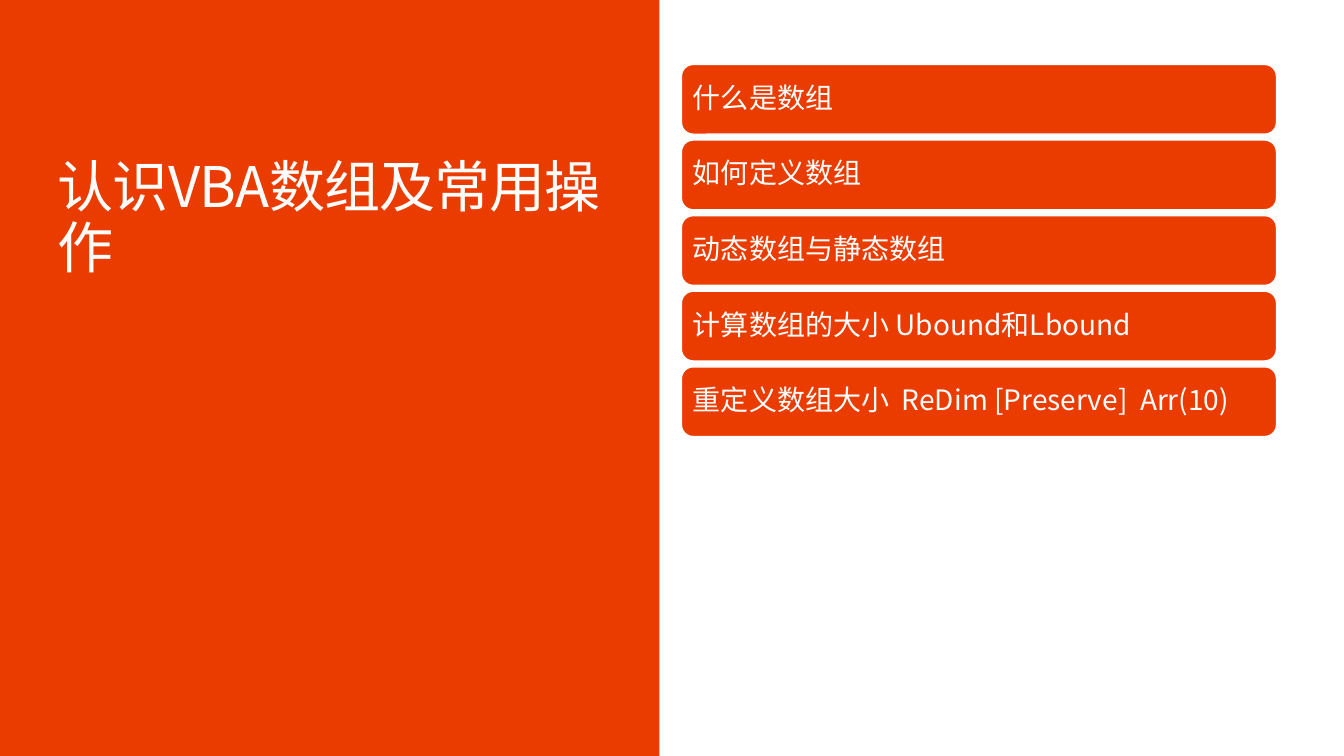
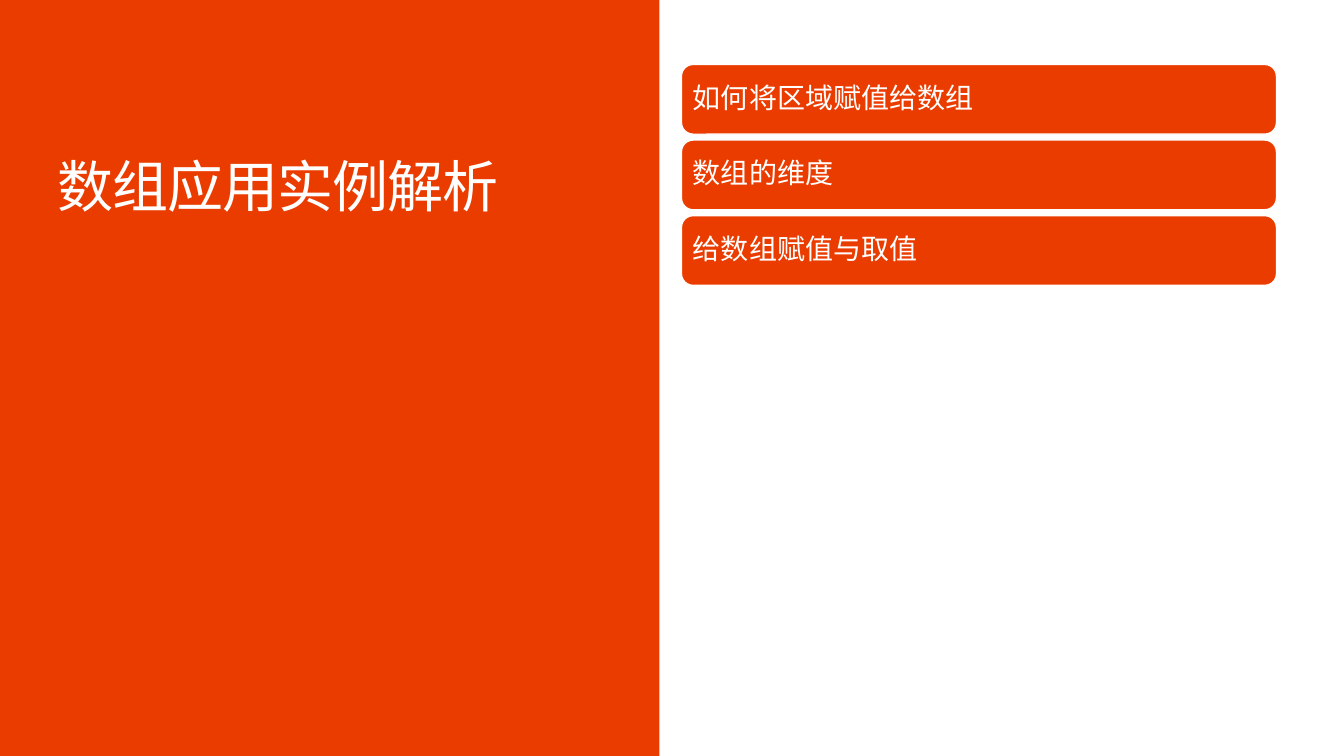
from dataclasses import dataclass

from lxml.etree import SubElement
from pptx import Presentation
from pptx.dml.color import RGBColor
from pptx.enum.shapes import MSO_SHAPE as Preset
from pptx.enum.text import MSO_ANCHOR as Anchor, MSO_AUTO_SIZE as AutoSize, PP_ALIGN as Align
from pptx.oxml.ns import qn
from pptx.shapes.autoshape import Shape
from pptx.slide import Slide, SlideLayout
from pptx.text.text import TextFrame
from pptx.util import Emu, Pt

# Shared style: 100 px to the inch
EMU_PER_PX = 9144
SLIDE_WIDTH, SLIDE_HEIGHT = 1333, 750
ORANGE, WHITE = "EB3C00", "FFFFFF"
FONT = "Noto Sans CJK SC"
LINE_SPACING = 0.9
TITLE_SIZE, TOPIC_SIZE = 40, 20
TITLE_TRACKING = -70  # hundredths of a point
TOPIC_PADDING = 8
TOPIC_PITCH = 75


@dataclass(frozen=True)
class Box:
    left: int
    top: int
    width: int
    height: int

    def emu(self) -> tuple[Emu, Emu, Emu, Emu]:
        return px(self.left), px(self.top), px(self.width), px(self.height)


@dataclass(frozen=True)
class Section:
    title: str
    topics: tuple[str, ...]


PANEL = Box(-1, 0, 655, SLIDE_HEIGHT)
TITLE = Box(57, 158, 572, 182)
FIRST_TOPIC = Box(676, 64, 590, 69)

SECTIONS = (
    Section("认识VBA数组及常用操作", (
        "什么是数组",
        "如何定义数组",
        "动态数组与静态数组",
        "计算数组的大小 Ubound和Lbound",
        "重定义数组大小  ReDim [Preserve]  Arr(10)",
    )),
    Section("数组应用实例解析", (
        "如何将区域赋值给数组",
        "数组的维度",
        "给数组赋值与取值",
    )),
)


def px(length: int) -> Emu:
    return Emu(length * EMU_PER_PX)


def color(value: str) -> RGBColor:
    return RGBColor.from_string(value)


def write_text(frame: TextFrame, text: str, size: int, anchor: Anchor,
               padding: int = 0, tracking: int = 0) -> None:
    frame.word_wrap = True
    frame.auto_size = AutoSize.NONE
    frame.vertical_anchor = anchor
    frame.margin_left = frame.margin_right = px(padding)
    frame.margin_top = frame.margin_bottom = px(padding)
    paragraph = frame.paragraphs[0]
    paragraph.alignment = Align.LEFT
    paragraph.line_spacing = LINE_SPACING
    run = paragraph.add_run()
    run.text = text
    run.font.name = FONT
    run.font.size = Pt(size)
    run.font.color.rgb = color(WHITE)
    # East Asian font and letter spacing
    properties = run._r.get_or_add_rPr()
    SubElement(properties, qn("a:ea")).set("typeface", FONT)
    if tracking:
        properties.set("spc", str(tracking))


def add_orange_shape(slide: Slide, preset: Preset, box: Box) -> Shape:
    shape = slide.shapes.add_shape(preset, *box.emu())
    shape.shadow.inherit = False
    shape.fill.solid()
    shape.fill.fore_color.rgb = color(ORANGE)
    shape.line.fill.background()
    return shape


def add_layout_panel(slide: Slide, layout: SlideLayout) -> None:
    """Draw the left panel and move it to the back of the layout."""
    panel = add_orange_shape(slide, Preset.RECTANGLE, PANEL)
    layout.shapes.element.insert(2, panel.element)


def add_title(slide: Slide, text: str) -> None:
    title = slide.shapes.title
    title.left, title.top, title.width, title.height = TITLE.emu()
    write_text(title.text_frame, text, TITLE_SIZE, Anchor.TOP, tracking=TITLE_TRACKING)


def add_topic(slide: Slide, index: int, text: str) -> None:
    box = Box(FIRST_TOPIC.left, FIRST_TOPIC.top + index * TOPIC_PITCH,
              FIRST_TOPIC.width, FIRST_TOPIC.height)
    topic = add_orange_shape(slide, Preset.ROUNDED_RECTANGLE, box)
    topic.line.color.rgb = color(WHITE)
    topic.line.width = Pt(0.85)
    write_text(topic.text_frame, text, TOPIC_SIZE, Anchor.MIDDLE, padding=TOPIC_PADDING)


def main() -> None:
    presentation = Presentation()
    presentation.slide_width = px(SLIDE_WIDTH)
    presentation.slide_height = px(SLIDE_HEIGHT)
    layout = presentation.slide_layouts.get_by_name("Title Only")

    for number, section in enumerate(SECTIONS):
        slide = presentation.slides.add_slide(layout)
        if number == 0:
            add_layout_panel(slide, layout)
        add_title(slide, section.title)
        for index, topic in enumerate(section.topics):
            add_topic(slide, index, topic)

    presentation.save("out.pptx")


if __name__ == "__main__":
    main()
